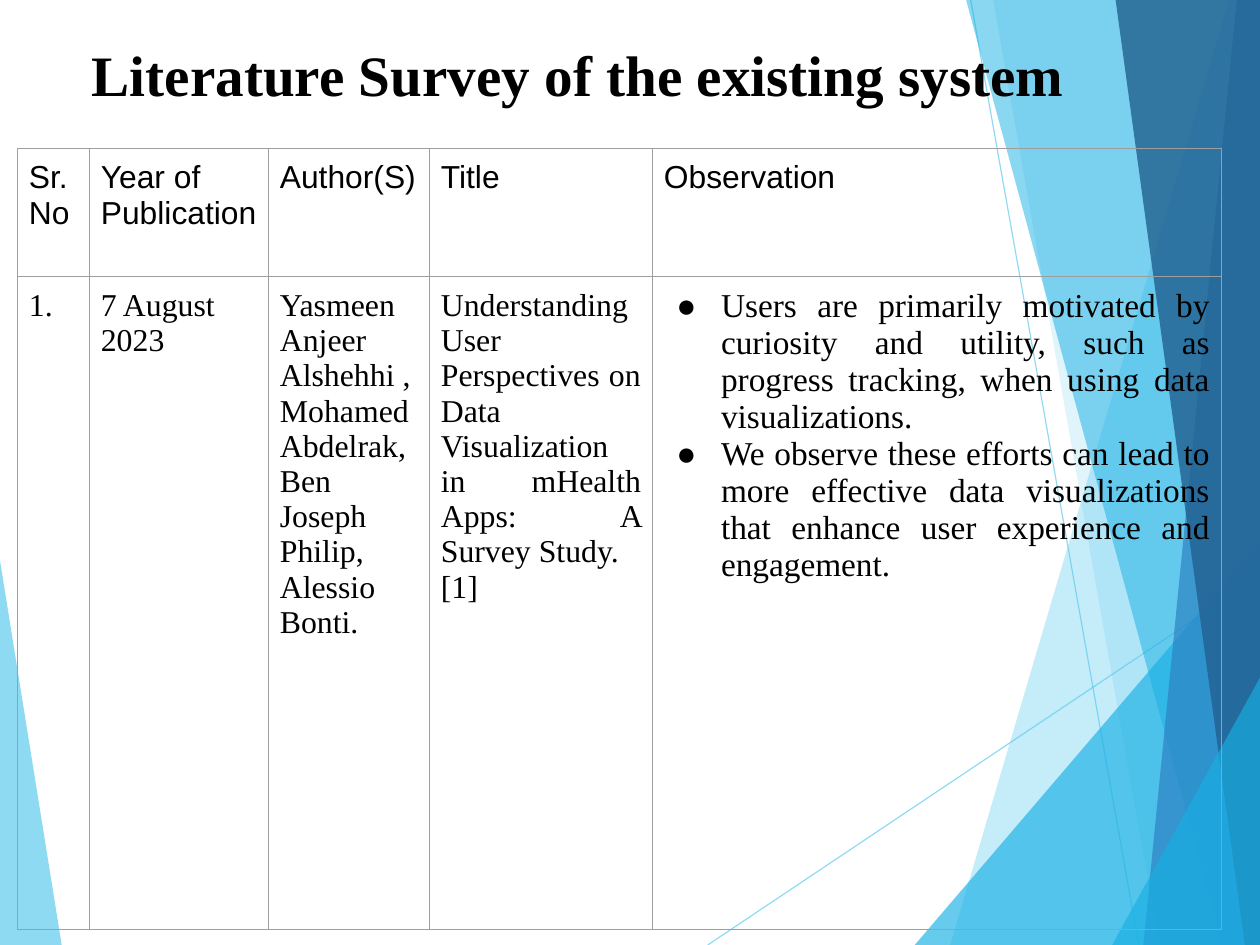
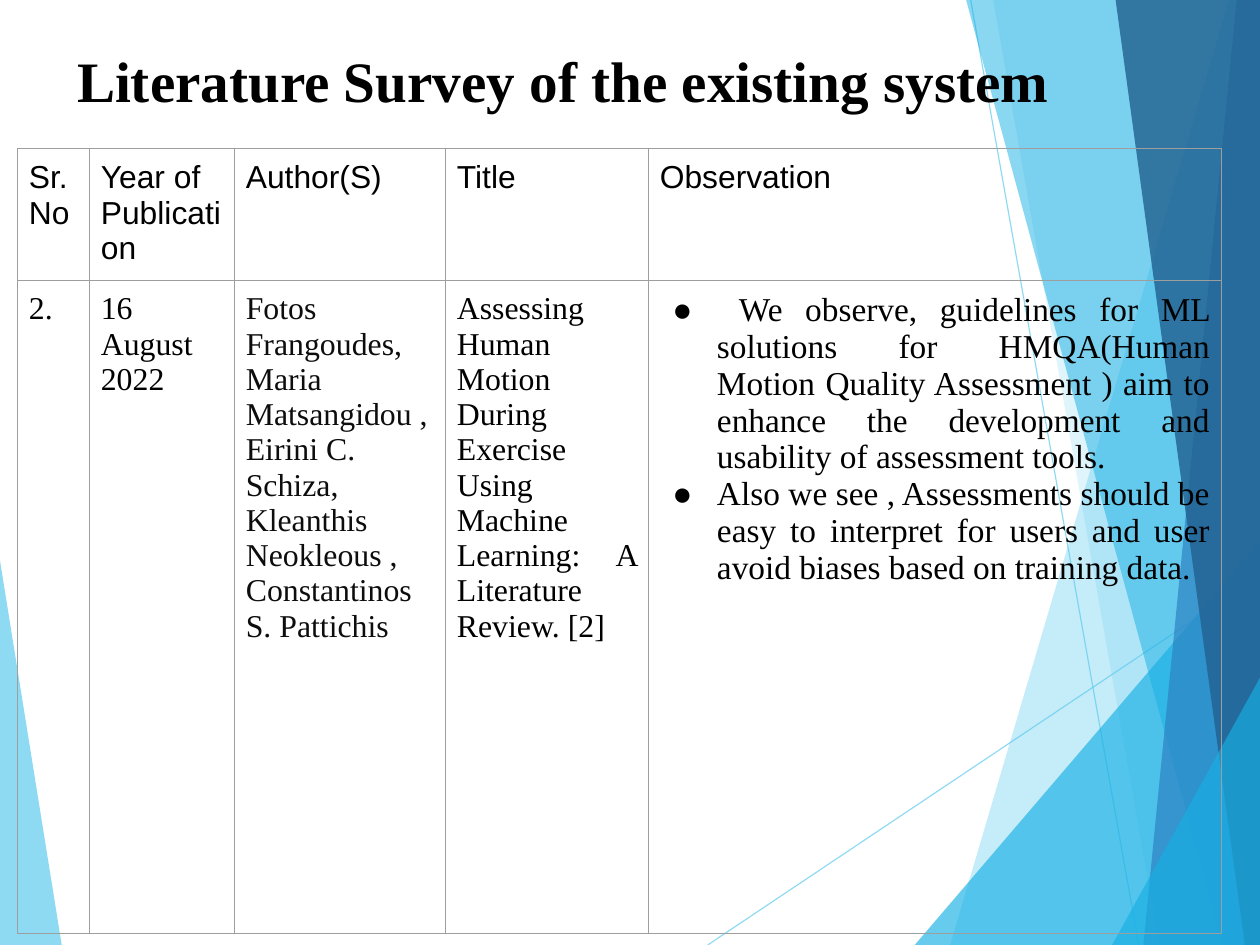
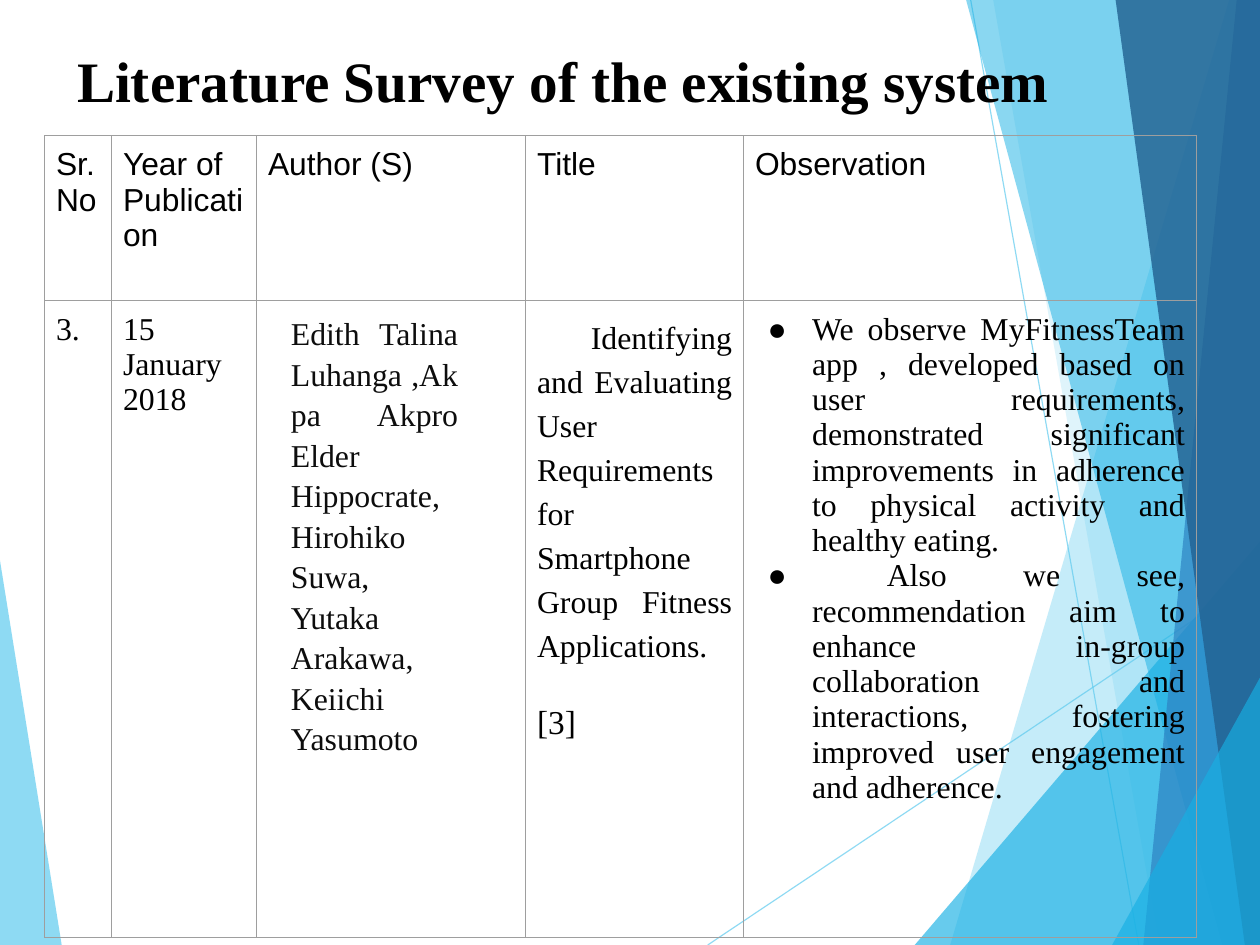
"""Build three literature survey slides with a shared faceted backdrop."""

from dataclasses import dataclass, field
from typing import Any

import lxml.etree
import pptx
import pptx.dml.color
import pptx.enum.shapes
import pptx.enum.text
import pptx.oxml.ns
import pptx.presentation
import pptx.slide
import pptx.table
import pptx.text.text
import pptx.util

Point = tuple[float, float]
Align = pptx.enum.text.PP_ALIGN


@dataclass(frozen=True)
class Theme:
    width: int = pptx.util.Cm(28)
    height: int = pptx.util.Cm(21)
    ink: str = "000000"
    soft_ink: str = "0D0D0D"
    grid: str = "9E9E9E"
    sky: str = "5FCBEF"
    cyan: str = "17B0E4"
    blue: str = "2E83C3"
    navy: str = "236292"
    serif: str = "Times New Roman"
    sans: str = "Arial"
    title_size: float = 36
    body_size: float = 20
    note_size: float = 21
    hairline: float = 0.75
    cell_inset: int = pptx.util.Inches(0.1)
    heading_bottom_inset: int = pptx.util.Inches(0.05)
    bullet_margin: int = pptx.util.Inches(0.5)
    bullet_hang: int = pptx.util.Inches(0.39)


THEME = Theme()


@dataclass(frozen=True)
class Facet:
    points: tuple[Point, ...]
    color: str
    opacity: int


@dataclass(frozen=True)
class Ray:
    start: Point
    end: Point


@dataclass(frozen=True)
class Passage:
    text: str
    style: dict[str, Any] = field(default_factory=dict)


@dataclass(frozen=True)
class Survey:
    title_at: Point
    table_at: Point
    columns: tuple[float, ...]
    rows: tuple[float, ...]
    author_heading: str
    entries: tuple[tuple[Passage, ...], ...]


def right_band(top: float, bottom: float, color: str, opacity: int) -> Facet:
    """Describe a band from a slanted left edge to the right slide edge."""
    return Facet(((top, 0), (bottom, 100), (100, 100), (100, 0)), color, opacity)


def corner(left: float, top: float, opacity: int) -> Facet:
    """Describe a triangle in the bottom right corner."""
    return Facet(((left, 100), (100, top), (100, 100)), THEME.cyan, opacity)


BACKDROP: tuple[Facet | Ray, ...] = (
    Facet(((0, 59.3), (4.9, 100), (0, 100)), THEME.sky, 70),
    Ray((56.17, 100), (100, 60.9)),
    Ray((77.04, 0), (90.38, 100)),
    right_band(97.55, 75.41, THEME.sky, 36),
    right_band(78.83, 92.01, THEME.sky, 20),
    corner(72.6, 57.3, 65),
    right_band(76.68, 97.01, THEME.cyan, 50),
    right_band(98.15, 90.74, THEME.blue, 70),
    right_band(88.54, 98.8, THEME.navy, 82),
    corner(88.26, 71.7, 65),
)

JUSTIFIED = {"align": Align.JUSTIFY}
BULLET = JUSTIFIED | {"bullet": "●"}
LARGE_BULLET = BULLET | {"size": THEME.note_size}
SOFT = {"color": THEME.soft_ink}

SURVEYS = (
    Survey(
        (7.3, 4.84), (1.39, 15.72), (5.71, 14.21, 12.78, 17.7, 45.16), (13.54, 69.1), "Author(S)",
        (
            (Passage("1."),),
            (Passage("7 August 2023"),),
            (Passage("Yasmeen Anjeer Alshehhi , Mohamed Abdelrak, Ben Joseph Philip, Alessio Bonti."),),
            (
                Passage("Understanding User Perspectives on Data Visualization in mHealth Apps: "
                        "A Survey Study.", JUSTIFIED),
                Passage("[1]", JUSTIFIED),
            ),
            (
                Passage("Users are primarily motivated by curiosity and utility, such as progress "
                        "tracking, when using data visualizations.", LARGE_BULLET),
                Passage("We observe these efforts can lead to more effective data visualizations "
                        "that enhance user experience and engagement.", LARGE_BULLET),
            ),
        ),
    ),
    Survey(
        (6.12, 5.4), (1.39, 15.72), (5.71, 11.51, 16.75, 16.11, 45.48), (13.65, 69.1), "Author(S)",
        (
            (Passage("2."),),
            (Passage("16 August 2022"),),
            (Passage("Fotos Frangoudes, Maria Matsangidou , Eirini C. Schiza, Kleanthis Neokleous , "
                     "Constantinos S. Pattichis", SOFT),),
            (Passage("Assessing Human Motion During Exercise Using Machine Learning: "
                     "A Literature Review. [2]", JUSTIFIED),),
            (
                Passage(" We observe, guidelines for ML solutions for HMQA(Human Motion Quality "
                        "Assessment ) aim to enhance the development and usability of assessment "
                        "tools.", LARGE_BULLET),
                Passage("Also we see , Assessments should be easy to interpret for users and user "
                        "avoid biases based on training data.", LARGE_BULLET),
            ),
        ),
    ),
    Survey(
        (6.12, 5.4), (3.54, 14.34), (5.32, 11.51, 21.35, 17.3, 35.95), (17.46, 67.41), "Author (S)",
        (
            (Passage("3."),),
            (Passage("15 January 2018"),),
            (Passage("Edith Talina Luhanga ,Akpa Akpro Elder Hippocrate, Hirohiko Suwa, "
                     "Yutaka Arakawa, Keiichi Yasumoto",
                     JUSTIFIED | SOFT | {"line_spacing": 1.15, "margins": (0.2, 0.49)}),),
            (
                Passage(" Identifying and Evaluating User Requirements for Smartphone Group "
                        "Fitness Applications.", JUSTIFIED | {"line_spacing": 1.25}),
                Passage("[3]", JUSTIFIED | {"line_spacing": 1.25, "space_before": 20,
                                            "size": THEME.note_size}),
            ),
            (
                Passage("We observe MyFitnessTeam app , developed based on user requirements, "
                        "demonstrated significant improvements in adherence to physical activity "
                        "and healthy eating.", BULLET),
                Passage(" Also we see, recommendation aim to enhance in-group collaboration and "
                        "interactions, fostering improved user engagement and adherence.", BULLET),
            ),
        ),
    ),
)


def across(share: float) -> int:
    """Convert a percentage of the slide width to a length."""
    return round(THEME.width * share / 100)


def down(share: float) -> int:
    """Convert a percentage of the slide height to a length."""
    return round(THEME.height * share / 100)


def rgb(color: str) -> pptx.dml.color.RGBColor:
    """Convert a hexadecimal colour."""
    return pptx.dml.color.RGBColor.from_string(color)


def add_child(parent: Any, tag: str, **attributes: str) -> Any:
    """Append a drawing element with the given attributes."""
    return lxml.etree.SubElement(parent, pptx.oxml.ns.qn(tag), attributes)


def set_opacity(element: Any, percent: int) -> None:
    """Make the first colour inside an element translucent."""
    color = next(element.iter(pptx.oxml.ns.qn("a:srgbClr")))
    add_child(color, "a:alpha", val=str(percent * 1000))


def write_text(
    frame: pptx.text.text.TextFrame,
    text: str,
    *,
    font: str = THEME.serif,
    size: float = THEME.body_size,
    color: str = THEME.ink,
    bold: bool = False,
    align: Align = Align.LEFT,
    line_spacing: float = 1.0,
    space_before: float = 0,
    margins: Point = (0, 0),
    bullet: str = "",
) -> None:
    """Write one formatted paragraph, using the empty first one if there is one."""
    paragraph = frame.add_paragraph() if frame.text else frame.paragraphs[0]
    paragraph.alignment = align
    paragraph.line_spacing = line_spacing
    paragraph.space_before = pptx.util.Pt(space_before)
    properties = paragraph._p.get_or_add_pPr()
    left, right = (pptx.util.Inches(margin) for margin in margins)
    properties.set("marL", str(THEME.bullet_margin if bullet else left))
    properties.set("marR", str(right))
    properties.set("indent", str(-THEME.bullet_hang if bullet else 0))
    if bullet:
        add_child(add_child(properties, "a:buClr"), "a:srgbClr", val=color)
        add_child(properties, "a:buFont", typeface=font)
        add_child(properties, "a:buChar", char=bullet)
    run = paragraph.add_run()
    run.text = text
    run.font.name = font
    run.font.size = pptx.util.Pt(size)
    run.font.bold = bold
    run.font.color.rgb = rgb(color)


def draw_facet(slide: pptx.slide.Slide, facet: Facet) -> Any:
    """Draw a translucent polygon."""
    start, *others = [(across(x), down(y)) for x, y in facet.points]
    builder = slide.shapes.build_freeform(*start)
    builder.add_line_segments(others, close=True)
    shape = builder.convert_to_shape()
    shape.shadow.inherit = False
    shape.fill.solid()
    shape.fill.fore_color.rgb = rgb(facet.color)
    shape.line.fill.background()
    set_opacity(shape.element.spPr, facet.opacity)
    return shape


def draw_ray(slide: pptx.slide.Slide, ray: Ray) -> Any:
    """Draw a thin translucent line."""
    connector = slide.shapes.add_connector(
        pptx.enum.shapes.MSO_CONNECTOR.STRAIGHT,
        across(ray.start[0]), down(ray.start[1]), across(ray.end[0]), down(ray.end[1]),
    )
    connector.line.width = pptx.util.Pt(THEME.hairline)
    connector.line.color.rgb = rgb(THEME.sky)
    set_opacity(connector.element.spPr, 70)
    add_child(connector.element.spPr, "a:effectLst")
    return connector


def draw_backdrop(slide: pptx.slide.Slide) -> None:
    """Draw the backdrop and move it to the layout that all slides share."""
    layout_tree = slide.slide_layout.element.cSld.spTree
    for part in BACKDROP:
        shape = draw_ray(slide, part) if isinstance(part, Ray) else draw_facet(slide, part)
        layout_tree.append(shape.element)


def draw_title(slide: pptx.slide.Slide, position: Point) -> None:
    """Draw the slide title."""
    left, top = position
    box = slide.shapes.add_textbox(across(left), down(top), across(90), down(7))
    frame = box.text_frame
    frame.word_wrap = True
    frame.margin_left = frame.margin_right = frame.margin_top = frame.margin_bottom = 0
    write_text(frame, "Literature Survey of the existing system",
               size=THEME.title_size, bold=True, line_spacing=0.93)


def fill_cell(
    cell: pptx.table._Cell, passages: tuple[Passage, ...], bottom_inset: int
) -> None:
    """Give a cell its borders, insets and text."""
    properties = cell._tc.get_or_add_tcPr()
    for side in "LRTB":
        border = add_child(properties, f"a:ln{side}", w=str(pptx.util.Pt(THEME.hairline)))
        add_child(add_child(border, "a:solidFill"), "a:srgbClr", val=THEME.grid)
    cell.fill.background()
    cell.margin_left = cell.margin_right = cell.margin_top = THEME.cell_inset
    cell.margin_bottom = bottom_inset
    for passage in passages:
        write_text(cell.text_frame, passage.text, **passage.style)


def draw_table(slide: pptx.slide.Slide, survey: Survey) -> None:
    """Draw the survey table with its heading row and one entry."""
    left, top = survey.table_at
    table = slide.shapes.add_table(
        len(survey.rows), len(survey.columns), across(left), down(top),
        across(sum(survey.columns)), down(sum(survey.rows)),
    ).table
    table.first_row = table.horz_banding = False
    for column, share in zip(table.columns, survey.columns):
        column.width = across(share)
    for row, share in zip(table.rows, survey.rows):
        row.height = down(share)
    headings = ("Sr.No", "Year of Publication", survey.author_heading, "Title", "Observation")
    heading_cells = [(Passage(heading, {"font": THEME.sans}),) for heading in headings]
    bottom_insets = (THEME.heading_bottom_inset, THEME.cell_inset)
    for row, entries, inset in zip(table.rows, (heading_cells, survey.entries), bottom_insets):
        for cell, passages in zip(row.cells, entries):
            fill_cell(cell, passages, inset)


def main() -> None:
    """Build and save the presentation."""
    presentation = pptx.Presentation()
    presentation.slide_width = THEME.width
    presentation.slide_height = THEME.height
    blank_layout = presentation.slide_layouts[6]
    for index, survey in enumerate(SURVEYS):
        slide = presentation.slides.add_slide(blank_layout)
        if index == 0:
            draw_backdrop(slide)
        draw_title(slide, survey.title_at)
        draw_table(slide, survey)
    presentation.save("out.pptx")


if __name__ == "__main__":
    main()
